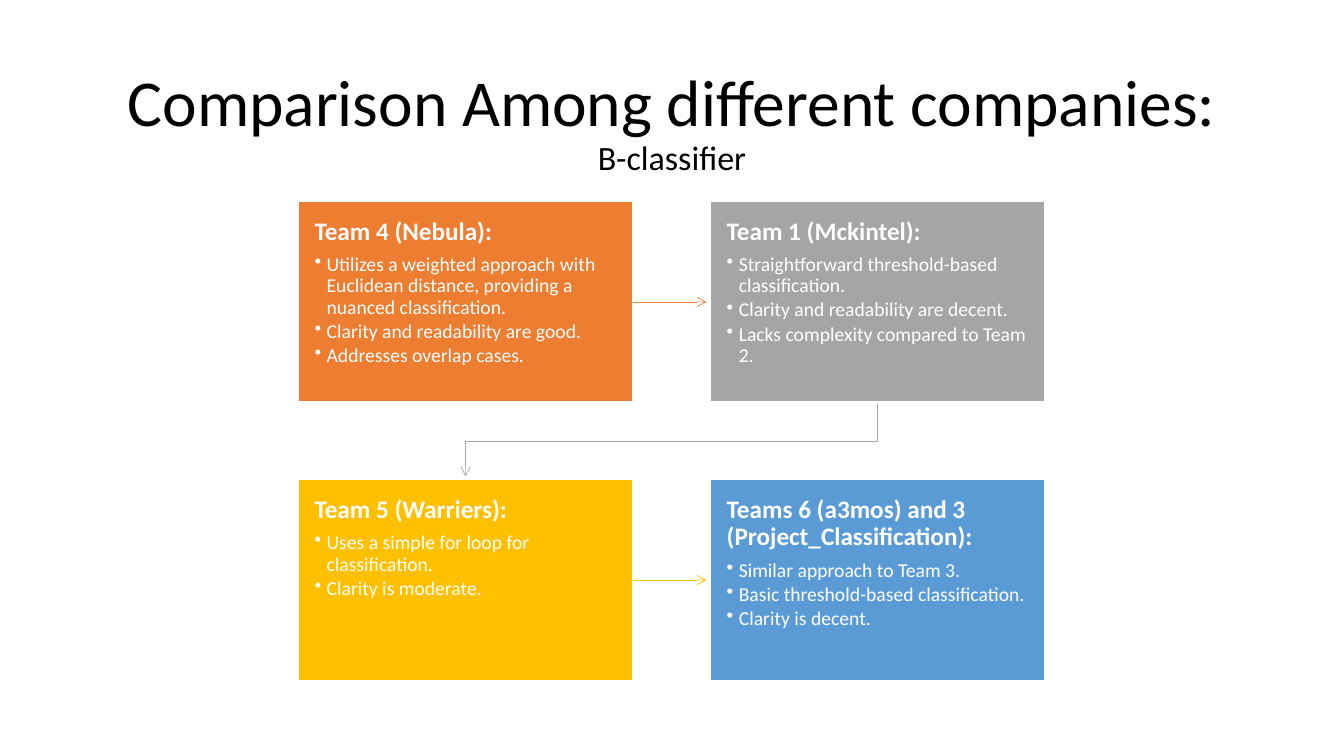
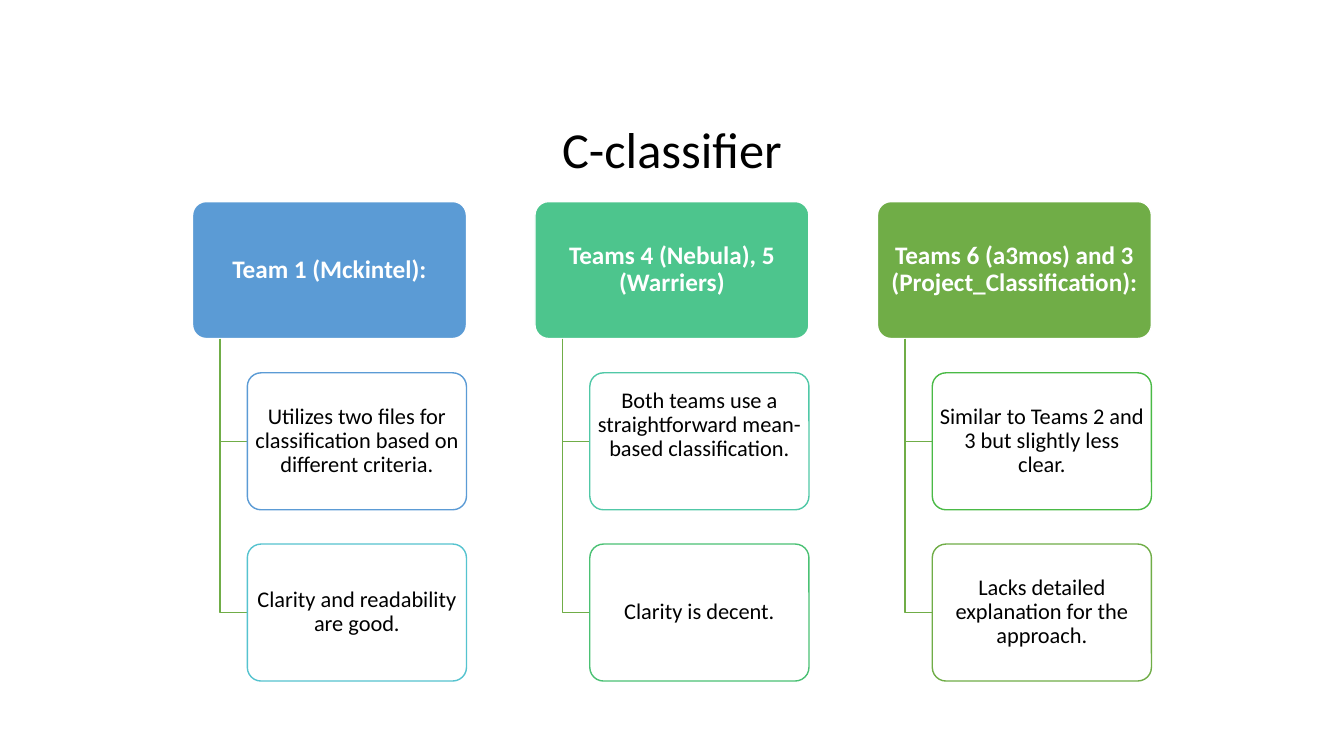
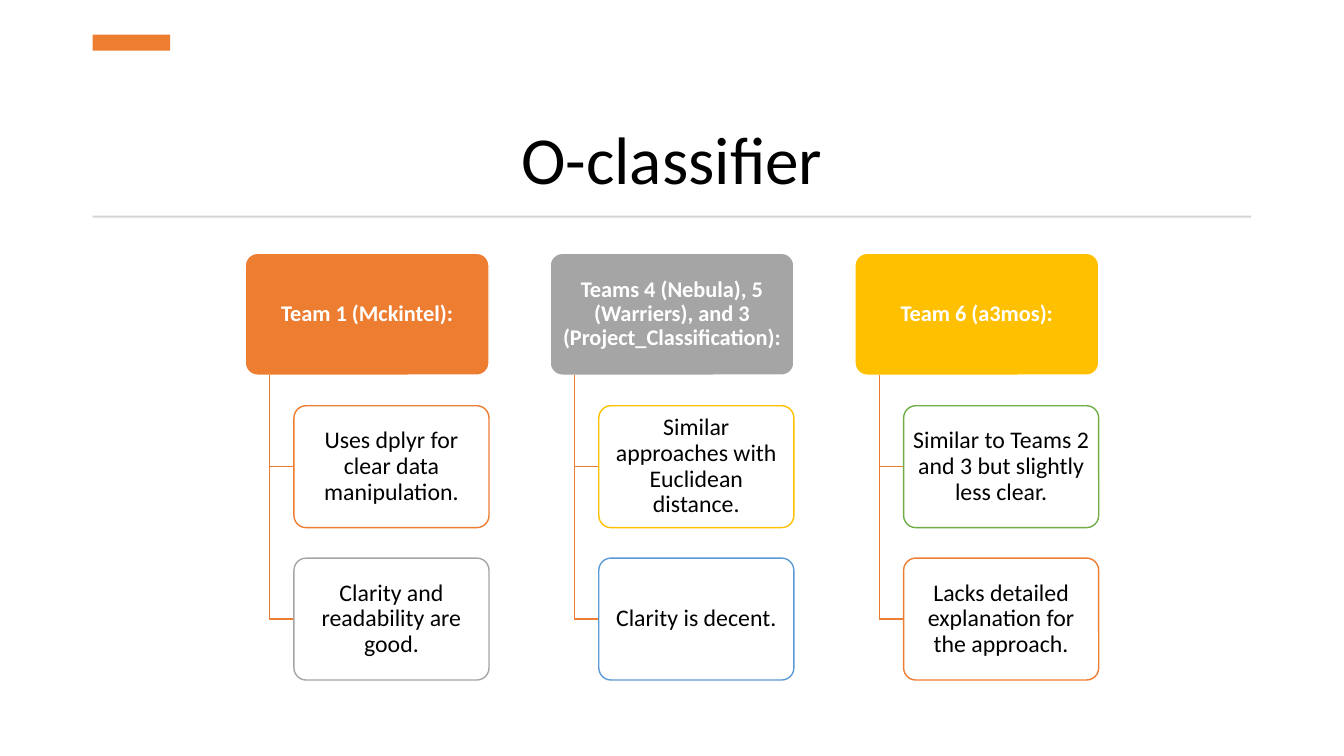
import pptx
import pptx.util
import pptx.dml.color
import pptx.enum.shapes
import pptx.enum.text
import pptx.oxml.ns
import lxml.etree

Pt = pptx.util.Pt
PRESET = pptx.enum.shapes.MSO_SHAPE
ANCHOR = pptx.enum.text.MSO_ANCHOR
ALIGN = pptx.enum.text.PP_ALIGN
qn = pptx.oxml.ns.qn

FONT = "Calibri"
SLIDE_WIDTH, SLIDE_HEIGHT = 960, 540
MARGIN = 66.2
CONTENT_WIDTH = SLIDE_WIDTH - 2 * MARGIN
WHITE, BLACK, RULE_GRAY = "FFFFFF", "000000", "D5D5D5"
ORANGE, GRAY, GOLD, BLUE, GREEN = "ED7D31", "A5A5A5", "FFC000", "5B9BD5", "70AD47"
CYAN, EMERALD, TEAL, MINT, LEAF = "55C3CF", "4DC58D", "50C8A7", "4BC174", "4ABA46"

COMPANY_CARDS = [
    ("Team 4 (Nebula):", ORANGE, [
        "Utilizes a weighted approach with Euclidean distance, providing a nuanced classification.",
        "Clarity and readability are good.",
        "Addresses overlap cases."]),
    ("Team 1 (Mckintel):", GRAY, [
        "Straightforward threshold-based classification.",
        "Clarity and readability are decent.",
        "Lacks complexity compared to Team 2."]),
    ("Team 5 (Warriers):", GOLD, [
        "Uses a simple for loop for classification.",
        "Clarity is moderate."]),
    ("Teams 6 (a3mos) and 3 (Project_Classification):", BLUE, [
        "Similar approach to Team 3.",
        "Basic threshold-based classification.",
        "Clarity is decent."]),
]

C_TREE = [
    ("Team 1 (Mckintel):", BLUE, [
        ("Utilizes two files for classification based on different criteria.", BLUE, 0),
        ("Clarity and readability are good.", CYAN, 0)]),
    ("Teams 4 (Nebula), 5 (Warriers)", EMERALD, [
        ("Both teams use a straightforward mean-based classification.", TEAL, 23),
        ("Clarity is decent.", MINT, 0)]),
    ("Teams 6 (a3mos) and 3 (Project_Classification):", GREEN, [
        ("Similar to Teams 2 and 3 but slightly less clear.", LEAF, 0),
        ("Lacks detailed explanation for the approach.", GREEN, 0)]),
]

O_TREE = [
    ("Team 1 (Mckintel):", ORANGE, [
        ("Uses dplyr for clear data manipulation.", ORANGE, 0),
        ("Clarity and readability are good.", GRAY, 0)]),
    ("Teams 4 (Nebula), 5 (Warriers), and 3 (Project_Classification):", GRAY, [
        ("Similar approaches with Euclidean distance.", GOLD, 0),
        ("Clarity is decent.", BLUE, 0)]),
    ("Team 6 (a3mos):", GOLD, [
        ("Similar to Teams 2 and 3 but slightly less clear.", GREEN, 0),
        ("Lacks detailed explanation for the approach.", ORANGE, 0)]),
]


def rgb(color):
    return pptx.dml.color.RGBColor.from_string(color)


def style_font(font, size, color, bold=False):
    font.name = FONT
    font.size = Pt(size)
    font.bold = bold
    font.color.rgb = rgb(color)


def set_insets(frame, horizontal, vertical, extra_bottom=0):
    frame.word_wrap = True
    frame.margin_left = frame.margin_right = Pt(horizontal)
    frame.margin_top = Pt(vertical)
    frame.margin_bottom = Pt(vertical + extra_bottom)


def style_line(shape, color, width, arrow=False):
    shape.line.color.rgb = rgb(color)
    shape.line.width = Pt(width)
    if arrow:
        outline = shape.element.spPr.find(qn("a:ln"))
        lxml.etree.SubElement(outline, qn("a:tailEnd"), type="arrow")


def add_title(slide, lines, top, height, anchor):
    title = slide.shapes.add_textbox(Pt(MARGIN), Pt(top), Pt(CONTENT_WIDTH), Pt(height))
    frame = title.text_frame
    frame.word_wrap = True
    frame.vertical_anchor = anchor
    paragraph = frame.paragraphs[0]
    paragraph.alignment = ALIGN.CENTER
    paragraph.line_spacing = 0.9
    for index, (text, size) in enumerate(lines):
        if index:
            paragraph.add_line_break()
        run = paragraph.add_run()
        run.text = text
        style_font(run.font, size, BLACK)


def add_box(slide, preset, left, top, width, height, fill, border=None):
    box = slide.shapes.add_shape(preset, Pt(left), Pt(top), Pt(width), Pt(height))
    box.shadow.inherit = False
    box.fill.solid()
    box.fill.fore_color.rgb = rgb(fill)
    if border:
        style_line(box, border, 1)
    else:
        box.line.fill.background()
    return box


def add_path(slide, points, color, width, arrow=False):
    start, *rest = [(Pt(x), Pt(y)) for x, y in points]
    builder = slide.shapes.build_freeform(*start)
    builder.add_line_segments(rest, close=False)
    path_line = builder.convert_to_shape()
    path_line.shadow.inherit = False
    path_line.fill.background()
    style_line(path_line, color, width, arrow)


def add_side_arrow(slide, card, tip_x, y, color):
    arrow = slide.shapes.add_connector(
        pptx.enum.shapes.MSO_CONNECTOR.STRAIGHT, card.left, Pt(y), Pt(tip_x), Pt(y))
    arrow.begin_connect(card, 3)
    style_line(arrow, color, 0.5, arrow=True)
    lxml.etree.SubElement(arrow.element.spPr, qn("a:effectLst"))


def make_bullet(paragraph):
    properties = paragraph._p.get_or_add_pPr()
    properties.set("marL", str(Pt(8.64)))
    properties.set("indent", str(-Pt(8.64)))
    lxml.etree.SubElement(properties, qn("a:buChar"), char="•")


def add_card(slide, left, top, width, height, team, color, remarks):
    card = add_box(slide, PRESET.RECTANGLE, left, top, width, height, color, WHITE)
    frame = card.text_frame
    set_insets(frame, 11.5, 12.2)
    frame.vertical_anchor = ANCHOR.TOP
    for index, text in enumerate([team] + remarks):
        paragraph = frame.add_paragraph() if index else frame.paragraphs[0]
        paragraph.text = text
        paragraph.alignment = ALIGN.LEFT
        paragraph.line_spacing = 0.9
        paragraph.space_after = Pt(2.1 if index else 6.3)
        style_font(paragraph.font, 14 if index else 18, WHITE, bold=not index)
        if index:
            make_bullet(paragraph)
    return card


def add_card_flow(slide, cards):
    left, top, width, height = 213.2, 144, 238.8, 143.3
    column_step, row_step = 294.4, 198.7
    for index, (team, color, remarks) in enumerate(cards):
        row, column = divmod(index, 2)
        x, y = left + column * column_step, top + row * row_step
        card = add_card(slide, x, y, width, height, team, color, remarks)
        if column == 0:
            add_side_arrow(slide, card, x + column_step - 3, y + height / 2, color)
        elif index < len(cards) - 1:
            start_x, end_x = x + width / 2, left + width / 2
            bend_y = y + (height + row_step) / 2
            add_path(slide, [(start_x, y + height + 1), (start_x, bend_y),
                             (end_x, bend_y), (end_x, y + row_step - 2.5)],
                     color, 0.5, arrow=True)


def add_node(slide, left, top, width, height, text, size, fill, border,
             color, bold=False, extra_bottom=0):
    node = add_box(slide, PRESET.ROUNDED_RECTANGLE, left, top, width, height, fill, border)
    node.adjustments[0] = 0.1
    frame = node.text_frame
    set_insets(frame, 2.5, 2, extra_bottom)
    frame.vertical_anchor = ANCHOR.MIDDLE
    paragraph = frame.paragraphs[0]
    paragraph.text = text
    paragraph.alignment = ALIGN.CENTER
    paragraph.line_spacing = 0.9
    style_font(paragraph.font, size, color, bold)


def add_team_tree(slide, teams, top, width, head_size, remark_size, branch_color):
    height = width / 2
    column_step, row_step = 1.25 * width, 1.25 * height
    left = (SLIDE_WIDTH - width - column_step * (len(teams) - 1)) / 2
    for column, (team, color, remarks) in enumerate(teams):
        x = left + column * column_step
        add_node(slide, x, top, width, height, team, head_size, color, WHITE, WHITE, bold=True)
        trunk_x, remark_x = x + 0.1 * width, x + 0.2 * width
        for row, (text, border, extra_bottom) in enumerate(remarks, 1):
            y = top + row * row_step
            branch_y = y + height / 2
            add_path(slide, [(trunk_x, top + height), (trunk_x, branch_y),
                             (remark_x, branch_y)], branch_color, 1)
            add_node(slide, remark_x, y, 0.8 * width, height, text, remark_size,
                     WHITE, border, BLACK, extra_bottom=extra_bottom)


def main():
    deck = pptx.Presentation()
    deck.slide_width, deck.slide_height = Pt(SLIDE_WIDTH), Pt(SLIDE_HEIGHT)
    b_slide, c_slide, o_slide = [deck.slides.add_slide(deck.slide_layouts[6]) for _ in range(3)]

    add_title(b_slide, [("Comparison Among different companies:", 46.8), ("B-classifier", 24.3)],
              43.9, 89.3, ANCHOR.MIDDLE)
    add_card_flow(b_slide, COMPANY_CARDS)

    add_title(c_slide, [("C-classifier", 36)], 43.9, 88, ANCHOR.BOTTOM)
    add_team_tree(c_slide, C_TREE, 144, 195.7, 18, 16, GREEN)

    add_title(o_slide, [("O-classifier", 48)], 54, 91.4, ANCHOR.BOTTOM)
    add_box(o_slide, PRESET.RECTANGLE, MARGIN, 24.7, 55.4, 11.5, ORANGE)
    add_box(o_slide, PRESET.RECTANGLE, MARGIN, 154.1, CONTENT_WIDTH, 1.4, RULE_GRAY)
    add_team_tree(o_slide, O_TREE, 180.9, 174.2, 16, 17, ORANGE)

    deck.save("out.pptx")


if __name__ == "__main__":
    main()
